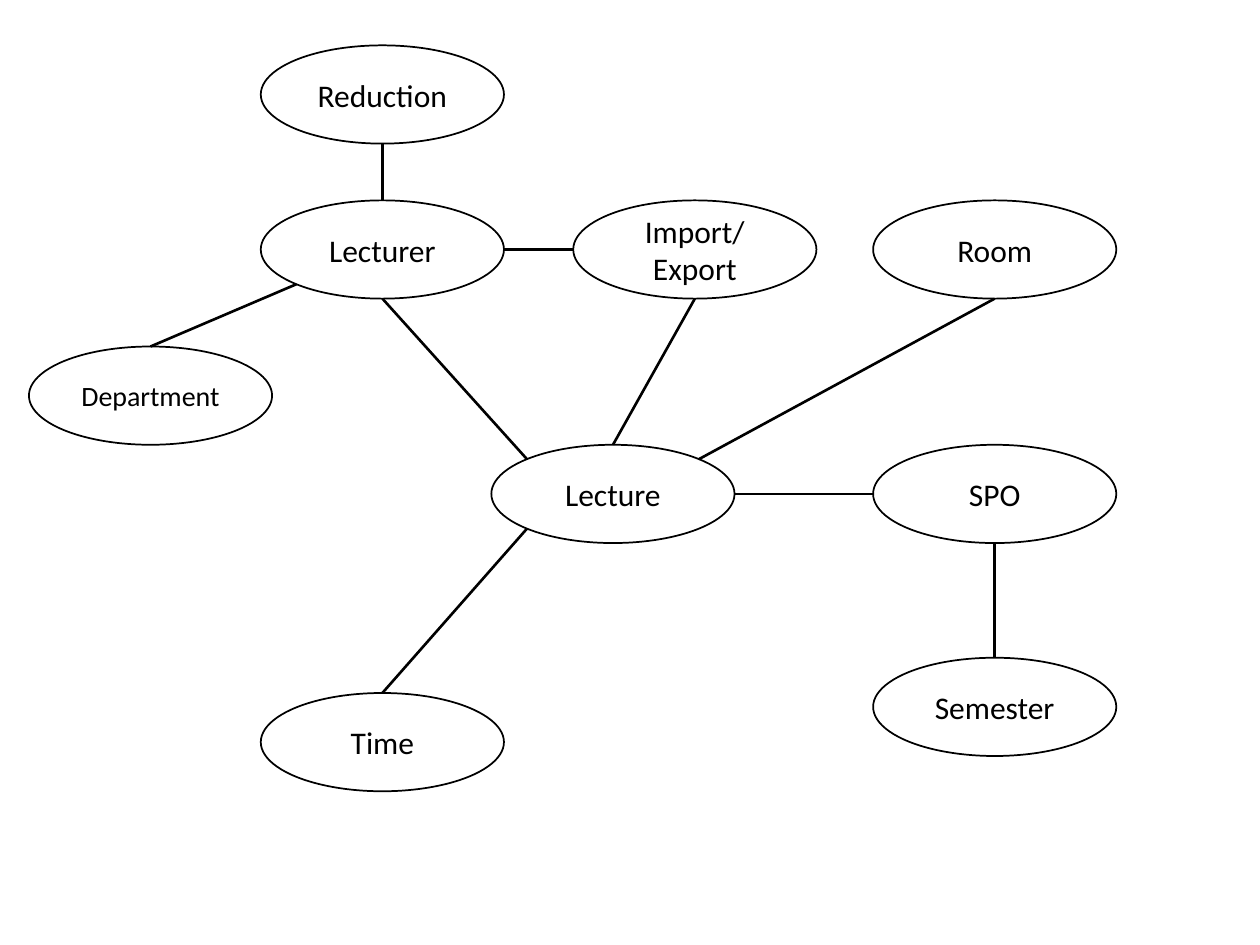
import math
import pptx
import pptx.util
import pptx.dml.color
import pptx.enum.shapes
import pptx.enum.text
import pptx.oxml.ns
from lxml import etree

COLORS = {"paper": "FFFFFF", "ink": "000000"}
FONT = "Calibri"
ENTITY_WIDTH, ENTITY_HEIGHT = 1.93, 0.78
COLUMNS = {"outer": 0.23, "lecturer": 2.07, "lecture": 3.9, "exchange": 4.55, "right": 6.93}
ROWS = {"top": 0.36, "lecturer": 1.59, "department": 2.75, "lecture": 3.53,
        "semester": 5.22, "time": 5.5}

ENTITIES = [
    ("Lecture", "lecture", "lecture", 18),
    ("Import/\nExport", "exchange", "lecturer", 18),
    ("Room", "right", "lecturer", 18),
    ("SPO", "right", "lecture", 18),
    ("Semester", "right", "semester", 18),
    ("Lecturer", "lecturer", "lecturer", 18),
    ("Reduction", "lecturer", "top", 18),
    ("Department", "outer", "department", 16),
    ("Time", "lecturer", "time", 18),
]

RELATIONS = [
    ("Lecture", "top", "Import/\nExport", "bottom"),
    ("Lecturer", "bottom", "Lecture", "top left"),
    ("Import/\nExport", "left", "Lecturer", "right"),
    ("Lecturer", "top", "Reduction", "bottom"),
    ("Lecturer", "bottom left", "Department", "top"),
    ("Lecture", "bottom left", "Time", "top"),
    ("Lecture", "right", "SPO", "left"),
    ("Semester", "top", "SPO", "bottom"),
    ("Lecture", "top right", "Room", "bottom"),
]

ANGLES = {"right": 0, "bottom": 90, "bottom left": 135, "left": 180,
          "top left": 225, "top": 270, "top right": 315}

inches = pptx.util.Inches


def color(name):
    return pptx.dml.color.RGBColor.from_string(COLORS[name])


def draw_entity(slide, label, column, row, size):
    entity = slide.shapes.add_shape(
        pptx.enum.shapes.MSO_SHAPE.OVAL, inches(COLUMNS[column]), inches(ROWS[row]),
        inches(ENTITY_WIDTH), inches(ENTITY_HEIGHT))
    entity.shadow.inherit = False
    entity.fill.solid()
    entity.fill.fore_color.rgb = color("paper")
    entity.line.color.rgb = color("ink")
    entity.line.width = pptx.util.Pt(1)
    frame = entity.text_frame
    frame.word_wrap = True
    frame.vertical_anchor = pptx.enum.text.MSO_ANCHOR.MIDDLE
    paragraph = frame.paragraphs[0]
    paragraph.alignment = pptx.enum.text.PP_ALIGN.CENTER
    for index, words in enumerate(label.split("\n")):
        if index:
            paragraph.add_line_break()
        run = paragraph.add_run()
        run.text = words
        run.font.name = FONT
        run.font.size = pptx.util.Pt(size)
        run.font.color.rgb = color("ink")
    return entity


def rim_point(entity, side):
    angle = math.radians(ANGLES[side])
    return (round(entity.left + entity.width / 2 * (1 + math.cos(angle))),
            round(entity.top + entity.height / 2 * (1 + math.sin(angle))))


def draw_relation(slide, start, end):
    relation = slide.shapes.add_connector(
        pptx.enum.shapes.MSO_CONNECTOR.STRAIGHT, *start, *end)
    relation.line.color.rgb = color("ink")
    relation.line.width = pptx.util.Pt(1.5)
    etree.SubElement(relation._element.spPr, pptx.oxml.ns.qn("a:effectLst"))


deck = pptx.Presentation()
deck.slide_width, deck.slide_height = inches(10), inches(7.5)
diagram = deck.slides.add_slide(deck.slide_layouts[6])
diagram.background.fill.solid()
diagram.background.fill.fore_color.rgb = color("paper")

entities = {entity[0]: draw_entity(diagram, *entity) for entity in ENTITIES}
for source, source_side, target, target_side in RELATIONS:
    draw_relation(diagram, rim_point(entities[source], source_side),
                  rim_point(entities[target], target_side))

deck.save("out.pptx")
